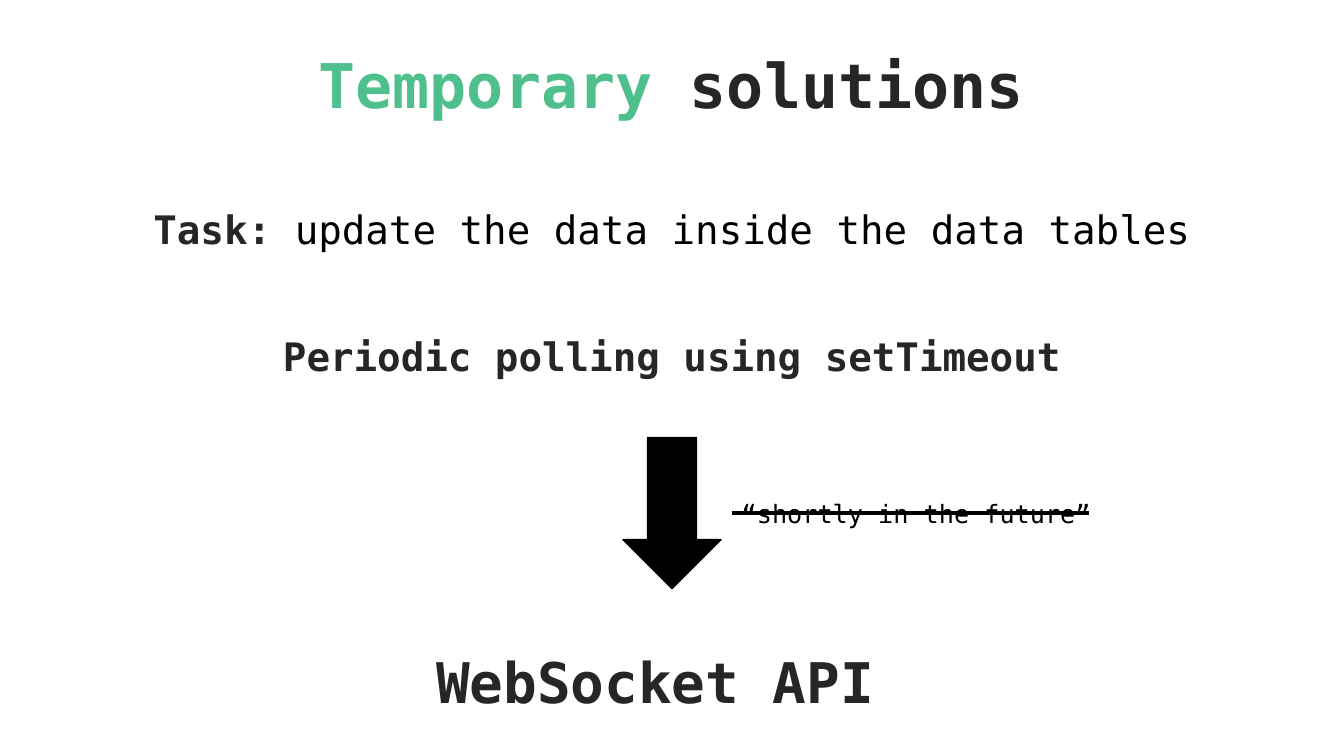
from dataclasses import dataclass

from pptx import Presentation
from pptx.dml.color import RGBColor
from pptx.enum.shapes import MSO_CONNECTOR, MSO_SHAPE
from pptx.enum.text import MSO_ANCHOR, MSO_AUTO_SIZE, PP_ALIGN
from pptx.oxml import parse_xml
from pptx.oxml.ns import nsdecls
from pptx.slide import Slide
from pptx.text.text import Font, TextFrame
from pptx.util import Pt

CENTER, LEFT = PP_ALIGN.CENTER, PP_ALIGN.LEFT
TOP = MSO_ANCHOR.TOP
GROW, FIXED = MSO_AUTO_SIZE.SHAPE_TO_FIT_TEXT, MSO_AUTO_SIZE.NONE
DOWN, LINE = MSO_SHAPE.DOWN_ARROW, MSO_CONNECTOR.STRAIGHT
FACE = "DejaVu Sans Mono"
COLORS = {"green": "4FC08D", "dark": "262626", "black": "000000"}


@dataclass
class Span:
    """A run of text with its own look."""
    text: str
    color: str = "dark"
    bold: bool = True


@dataclass
class Label:
    """A one-line text and its box in points."""
    spans: list[Span]
    top: float
    high: float
    size: float
    left: float = 64.8
    wide: float = 830.2
    align: PP_ALIGN = CENTER
    space: float = 1.5


TITLE = Label([Span("Temporary ", "green"), Span("solutions")],
              36, 69.1, 44, 115.9, 727.2, space=0.9)
LABELS = [
    Label([Span("Task: "),
           Span("update the data inside the data tables", "black", False)],
          126, 52.6, 28),
    Label([Span("Periodic polling using setTimeout")], 216.7, 52.6, 28),
    Label([Span("“shortly in the future”", "black", False)],
          352.1, 28.8, 18, 522.7, 432, LEFT, 1.0),
    Label([Span("WebSocket API ")], 434.9, 72, 40),
]


def rgb(name: str) -> RGBColor:
    """Look up a colour by name."""
    return RGBColor.from_string(COLORS[name])


def style(font: Font, span: Span) -> None:
    """Set the colour and weight of a font."""
    font.color.rgb = rgb(span.color)
    font.bold = span.bold


def write(frame: TextFrame, label: Label, fit: MSO_AUTO_SIZE) -> None:
    """Fill a text frame with the spans of a label."""
    frame.word_wrap = True
    frame.auto_size = fit
    frame.vertical_anchor = TOP
    para = frame.paragraphs[0]
    para.alignment = label.align
    para.line_spacing = label.space
    para.font.name = FACE
    para.font.size = Pt(label.size)
    if len(label.spans) == 1:
        style(para.font, label.spans[0])
    for span in label.spans:
        run = para.add_run()
        run.text = span.text
        if len(label.spans) > 1:
            style(run.font, span)


def add_title(slide: Slide, label: Label) -> None:
    """Move and fill the title placeholder."""
    title = slide.shapes.title
    title.left, title.top = Pt(label.left), Pt(label.top)
    title.width, title.height = Pt(label.wide), Pt(label.high)
    write(title.text_frame, label, FIXED)


def add_label(slide: Slide, label: Label) -> None:
    """Add a text box for a label."""
    box = slide.shapes.add_textbox(Pt(label.left), Pt(label.top),
                                   Pt(label.wide), Pt(label.high))
    write(box.text_frame, label, GROW)


def add_arrow(slide: Slide) -> None:
    """Add the black arrow that points down."""
    arrow = slide.shapes.add_shape(DOWN, Pt(445), Pt(312.5), Pt(70), Pt(108))
    arrow.shadow.inherit = False
    arrow.fill.solid()
    arrow.fill.fore_color.rgb = rgb("black")
    arrow.line.color.rgb = rgb("black")
    arrow.line.width = Pt(1)


def add_strike(slide: Slide) -> None:
    """Add the line that crosses out the promise."""
    line = slide.shapes.add_connector(LINE, Pt(522.7), Pt(366.5),
                                      Pt(777.6), Pt(366.5))
    line.line.color.rgb = rgb("black")
    line.line.width = Pt(3)
    line._element.spPr.append(parse_xml(f"<a:effectLst {nsdecls('a')}/>"))


def main() -> None:
    """Build the slide and save it."""
    deck = Presentation()
    deck.slide_width, deck.slide_height = Pt(960), Pt(540)
    slide = deck.slides.add_slide(deck.slide_layouts[5])
    add_title(slide, TITLE)
    for label in LABELS:
        add_label(slide, label)
    add_arrow(slide)
    add_strike(slide)
    deck.save("out.pptx")


if __name__ == "__main__":
    main()
